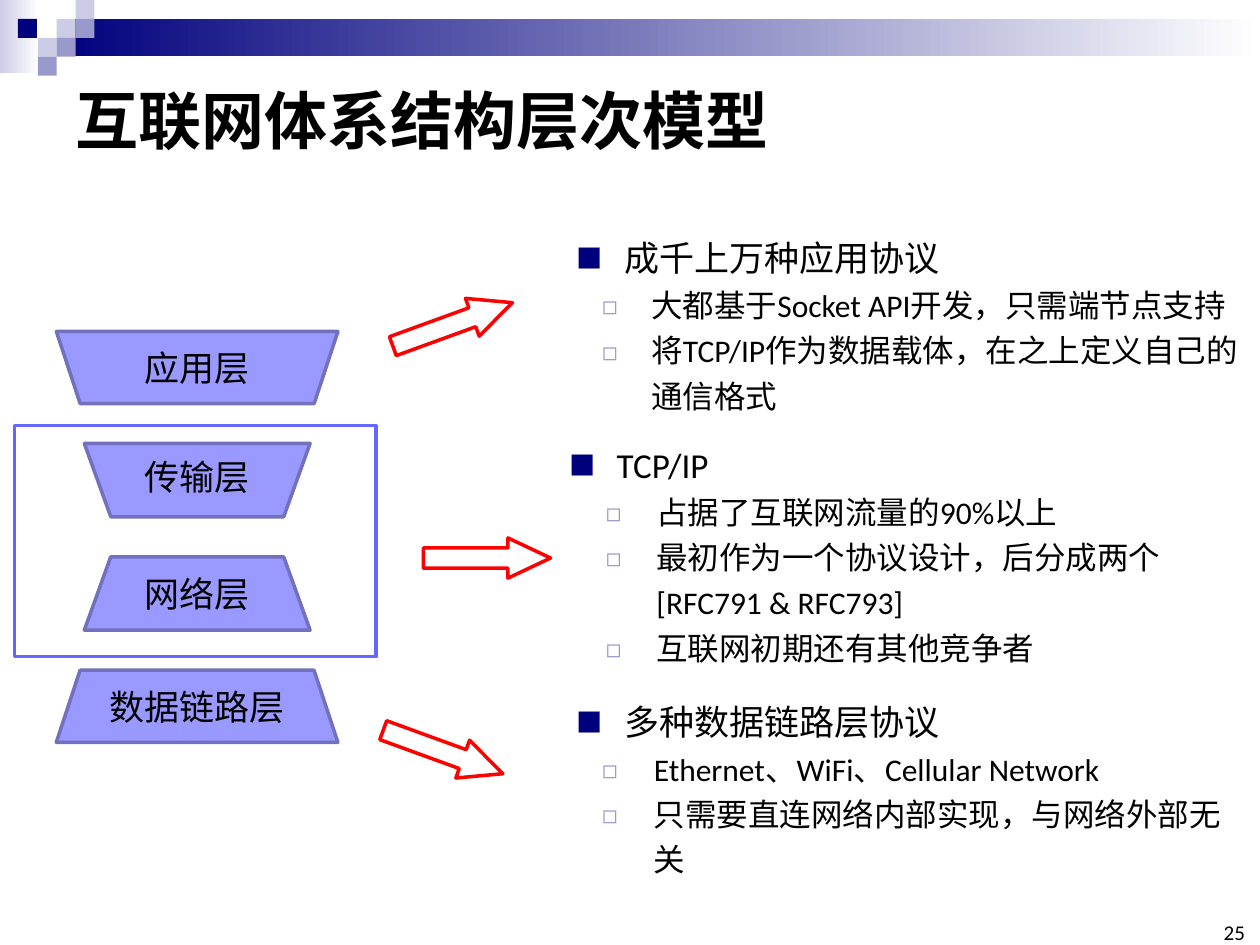
from lxml.etree import SubElement
from pptx import Presentation
from pptx.dml.color import RGBColor
from pptx.enum.lang import MSO_LANGUAGE_ID
from pptx.enum.shapes import MSO_SHAPE
from pptx.enum.text import MSO_ANCHOR, MSO_AUTO_SIZE, PP_ALIGN
from pptx.oxml.ns import qn
from pptx.util import Pt

COLORS = {
    "text": "000000", "navy": "00007D", "lilac": "9999CC", "pale": "CCCCE6",
    "white": "FFFFFF", "layer": "9999FF", "edge": "7171BD", "frame": "6565FF",
    "arrow": "FF0000",
}
LATIN, CHINESE = "Calibri", "Noto Sans CJK SC"
BULLETS = [("■", "navy", 75, 20), ("◻", "lilac", 80, 18)]
TILE = 10.8


class SlideStyle:
    """Holds the slide and draws each kind of element in its style."""

    def __init__(self, slide):
        self.slide = slide

    def color(self, name):
        return RGBColor.from_string(COLORS[name])

    def add_words(self, paragraph, text, size, face=LATIN, bold=False):
        run = paragraph.add_run()
        run.text = text
        formats = {"size": Pt(size), "name": face, "bold": bold,
                   "language_id": MSO_LANGUAGE_ID.SIMPLIFIED_CHINESE}
        for key, value in formats.items():
            setattr(run.font, key, value)
        run.font.color.rgb = self.color("text")
        SubElement(run.font._element, qn("a:ea"), typeface=face)

    def frame(self, holder, **formats):
        defaults = {"auto_size": MSO_AUTO_SIZE.NONE, "word_wrap": True,
                    "vertical_anchor": MSO_ANCHOR.TOP}
        for key, value in (defaults | formats).items():
            setattr(holder.text_frame, key, value)
        return holder.text_frame

    def place(self, holder, box):
        for key, value in zip(("left", "top", "width", "height"), box):
            setattr(holder, key, Pt(value))

    def textbox(self, box):
        return self.slide.shapes.add_textbox(*map(Pt, box))

    def shape(self, kind, box, fill=None, line=None, adjust=(), turn=0):
        drawn = self.slide.shapes.add_shape(kind, *map(Pt, box))
        drawn.shadow.inherit = False
        drawn.rotation = turn
        for index, value in enumerate(adjust):
            drawn.adjustments[index] = value
        if fill:
            drawn.fill.solid()
            drawn.fill.fore_color.rgb = self.color(fill)
        else:
            drawn.fill.background()
        if line:
            drawn.line.color.rgb = self.color(line)
            drawn.line.width = Pt(2)
        else:
            drawn.line.fill.background()
        return drawn

    def fade(self, box, start):
        fill = self.shape(MSO_SHAPE.RECTANGLE, box).fill
        fill.gradient()
        fill.gradient_angle = 0
        for stop, name in zip(fill.gradient_stops, (start, "white")):
            stop.color.rgb = self.color(name)

    def title(self, text, box):
        heading = self.slide.shapes.title
        self.place(heading, box)
        first = self.frame(heading, vertical_anchor=MSO_ANCHOR.MIDDLE).paragraphs[0]
        first.alignment = PP_ALIGN.LEFT
        self.add_words(first, text, 36, bold=True)

    def label(self, text, box, size, face=LATIN, align=PP_ALIGN.CENTER, **formats):
        first = self.frame(self.textbox(box), **formats).paragraphs[0]
        first.alignment = align
        self.add_words(first, text, size, face)

    def layer(self, name, box, slope, label_top, turn):
        self.shape(MSO_SHAPE.TRAPEZOID, box, "layer", "edge", [slope], turn)
        left, _, width, _ = box
        self.label(name, (left, label_top, width, 31.7), 20, CHINESE,
                   vertical_anchor=MSO_ANCHOR.MIDDLE)

    def arrow(self, left, top, turn):
        self.shape(MSO_SHAPE.RIGHT_ARROW, (left, top, 72.7, 23), line="arrow",
                   adjust=(0.5, 1.06), turn=turn)

    def bullets(self, holder, heading, points, indent, hang):
        frame = self.frame(holder)
        for index, text in enumerate([heading, *points]):
            level = min(index, 1)
            paragraph = frame.add_paragraph() if index else frame.paragraphs[0]
            formats = {"level": level, "line_spacing": 1.2, "space_before": Pt(0),
                       "space_after": Pt(0), "alignment": PP_ALIGN.LEFT}
            for key, value in formats.items():
                setattr(paragraph, key, value)
            mark, color, percent, size = BULLETS[level]
            margin, reach = (indent, hang) if level else (27, 27)
            properties = paragraph._p.get_or_add_pPr()
            properties.set("marL", str(Pt(margin)))
            properties.set("indent", str(-Pt(reach)))
            tint = SubElement(properties, qn("a:buClr"))
            SubElement(tint, qn("a:srgbClr"), val=COLORS[color])
            SubElement(properties, qn("a:buSzPct"), val=str(percent * 1000))
            SubElement(properties, qn("a:buFont"), typeface=CHINESE)
            SubElement(properties, qn("a:buChar"), char=mark)
            self.add_words(paragraph, text, size)


def main():
    deck = Presentation()
    deck.slide_width, deck.slide_height = Pt(720), Pt(540)
    slide = deck.slides.add_slide(deck.slide_layouts[1])
    style = SlideStyle(slide)

    style.fade((0, 0, 22.3, 41.8), "pale")
    style.fade((3 * TILE, TILE, 687.6, 21.3), "navy")
    tiles = [(3, 1, "pale"), (4, 0, "pale"), (4, 1, "lilac"), (2, 2, "pale"),
             (0.95, 1, "navy"), (3, 2, "lilac"), (2, 3, "lilac")]
    for column, row, tint in tiles:
        style.shape(MSO_SHAPE.RECTANGLE, (column * TILE, row * TILE, TILE, TILE), tint)

    style.title("互联网体系结构层次模型", (36, 36, 648, 64))
    style.label("25", (680, 527.8, 31.4, 12.2), 12, align=PP_ALIGN.RIGHT,
                vertical_anchor=MSO_ANCHOR.BOTTOM, margin_left=0, margin_top=0,
                margin_right=0, margin_bottom=0)

    wide, narrow = (32.2, 160.9, 41.2, 0.33), (48.2, 129, 41.9, 0.36)
    layers = [("应用层", wide, 189.4, 194.4, 180), ("传输层", narrow, 253.4, 256.3, 180),
              ("网络层", narrow, 318.2, 323.3, 0), ("数据链路层", wide, 383, 388.1, 0)]
    for name, (left, width, height, slope), top, label_top, turn in layers:
        style.layer(name, (left, top, width, height), slope, label_top, turn)
    style.shape(MSO_SHAPE.RECTANGLE, (8.4, 243.2, 206.6, 131.9), line="frame")

    for left, top, turn in [(222.3, 173.9, 340), (241.9, 307.4, 0), (216.8, 418.2, 20)]:
        style.arrow(left, top, turn)

    protocols = slide.placeholders[1]
    style.place(protocols, (318.2, 244.8, 384.5, 144.7))
    style.bullets(protocols, "TCP/IP",
                  ["占据了互联网流量的90%以上",
                   "最初作为一个协议设计，后分成两个[RFC791 & RFC793]",
                   "互联网初期还有其他竞争者"], 49.7, 28.8)
    style.bullets(style.textbox((322.6, 126.7, 395.3, 116.6)), "成千上万种应用协议",
                  ["大都基于Socket API开发，只需端节点支持",
                   "将TCP/IP作为数据载体，在之上定义自己的通信格式"], 42.5, 28.1)
    style.bullets(style.textbox((322.6, 391.7, 388.8, 116.6)), "多种数据链路层协议",
                  ["Ethernet、WiFi、Cellular Network",
                   "只需要直连网络内部实现，与网络外部无关"], 43.9, 29.5)
    deck.save("out.pptx")


if __name__ == "__main__":
    main()
